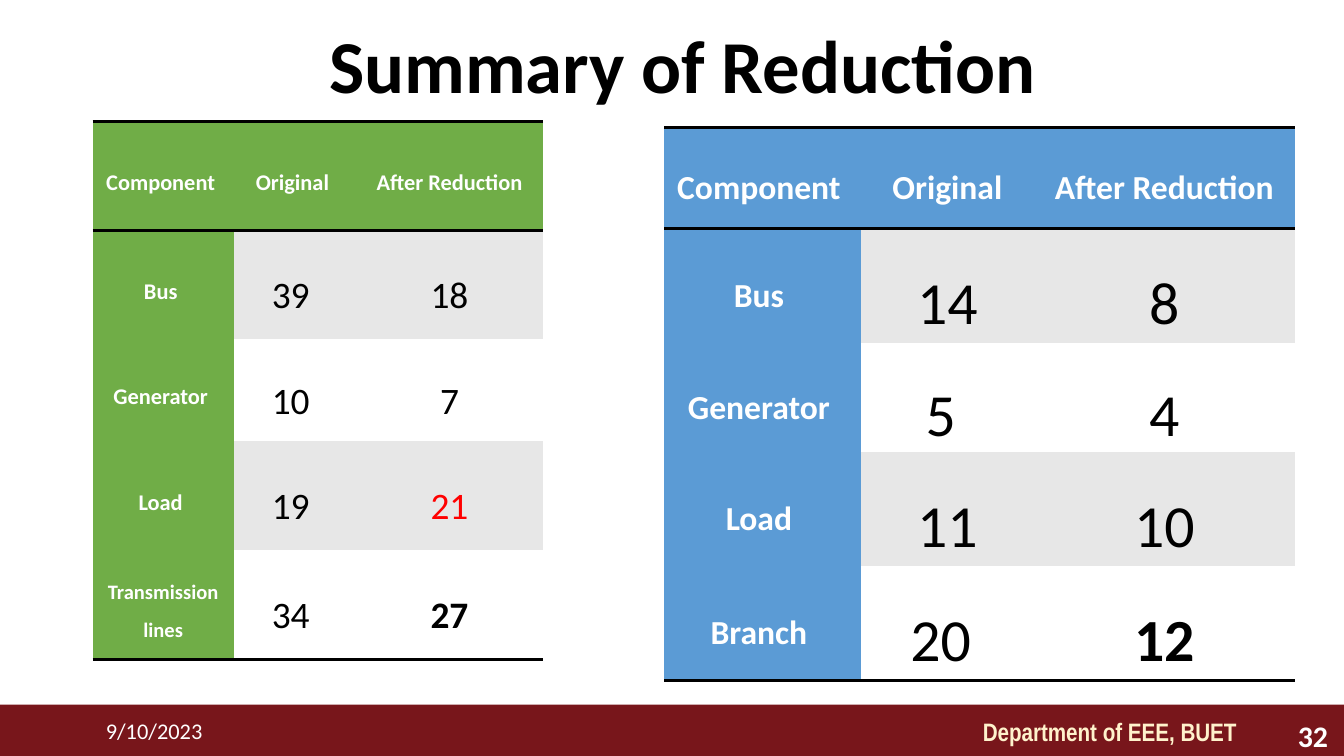
from lxml import etree
from pptx import Presentation
from pptx import util as u
from pptx.dml.color import RGBColor
from pptx.enum import shapes, text
from pptx.oxml import ns

COLOURS = {
    "black": "000000", "white": "FFFFFF", "maroon": "78161B", "cream": "FFF2CC",
    "blue": "5B9BD5", "green": "70AD47", "grey": "E7E7E7", "red": "FF0000",
}
PLAIN_TABLE = "{2D5ABB26-0587-4C30-8999-92F81FD0307C}"


class SummarySlide:
    """Style and drawing methods for the slide being built."""

    font = "Calibri"
    rule_width = u.Pt(2)

    def __init__(self, slide):
        self.slide = slide

    def colour(self, name):
        return RGBColor.from_string(COLOURS[name])

    def box(self, *place):
        return [u.Cm(length) for length in place]

    def style(self, paragraph, size, colour, bold=False, font=None):
        for run in paragraph.runs:
            run.font.size = u.Pt(size)
            run.font.name = font or self.font
            run.font.bold = bold
            run.font.color.rgb = self.colour(colour)

    def band(self, place, colour):
        footer = self.slide.shapes.add_shape(
            shapes.MSO_SHAPE.RECTANGLE, *self.box(*place))
        footer.shadow.inherit = False
        footer.fill.solid()
        footer.fill.fore_color.rgb = self.colour(colour)
        footer.line.fill.background()

    def label(self, words, place, size, colour, align="LEFT", anchor="TOP",
              spacing=1.0, bold=False, font=None):
        frame = self.slide.shapes.add_textbox(*self.box(*place)).text_frame
        frame.word_wrap = True
        frame.vertical_anchor = text.MSO_ANCHOR[anchor]
        frame.text = words
        paragraph = frame.paragraphs[0]
        paragraph.alignment = text.PP_ALIGN[align]
        paragraph.line_spacing = spacing
        self.style(paragraph, size, colour, bold, font)

    def rule(self, cell, side):
        line = etree.SubElement(cell._tc.get_or_add_tcPr(), ns.qn(f"a:ln{side}"),
                                w=str(self.rule_width))
        fill = etree.SubElement(line, ns.qn("a:solidFill"))
        etree.SubElement(fill, ns.qn("a:srgbClr"), val=COLOURS["black"])

    def table(self, rows, corner, widths, heights, accent, head_size, value_size,
              space_after=0, special=None):
        special = special or {}
        place = self.box(*corner, sum(widths), sum(heights))
        grid = self.slide.shapes.add_table(len(rows), len(widths), *place).table
        grid._tbl.tblPr.find(ns.qn("a:tableStyleId")).text = PLAIN_TABLE
        for column, width in zip(grid.columns, widths):
            column.width = u.Cm(width)
        for r, (row, height) in enumerate(zip(rows, heights)):
            grid.rows[r].height = u.Cm(height)
            for c, words in enumerate(row):
                cell = grid.cell(r, c)
                if r == 0:
                    self.rule(cell, "T")
                if r in (0, len(rows) - 1):
                    self.rule(cell, "B")
                heading = r == 0 or c == 0
                cell.fill.solid()
                cell.fill.fore_color.rgb = self.colour(
                    accent if heading else "grey" if r % 2 else "white")
                cell.margin_left = cell.margin_right = u.Cm(0.19)
                cell.margin_top = cell.margin_bottom = 0
                cell.vertical_anchor = text.MSO_ANCHOR.MIDDLE
                cell.text_frame.text = words
                paragraph = cell.text_frame.paragraphs[0]
                paragraph.alignment = text.PP_ALIGN.CENTER
                paragraph.line_spacing = 1.5
                paragraph.space_after = u.Pt(space_after)
                look = {"size": head_size if heading else value_size,
                        "colour": "white" if heading else "black",
                        "bold": heading}
                look.update(special.get((r, c), {}))
                self.style(paragraph, **look)


def main():
    deck = Presentation()
    deck.slide_width, deck.slide_height = u.Cm(25.4), u.Cm(14.29)
    page = SummarySlide(deck.slides.add_slide(deck.slide_layouts[6]))

    page.band((0, 13.32, 25.4, 0.97), "maroon")
    page.label("Department of EEE, BUET", (16.23, 13.41, 7.39, 0.84), 13.5, "cream",
               align="RIGHT", bold=True, font="Arial Narrow")
    page.label("Summary of Reduction", (5.97, 0.33, 13.97, 1.96), 40, "black",
               anchor="MIDDLE", spacing=0.9, bold=True)
    page.label("9/10/2023", (1.75, 13.44, 5.72, 0.76), 12, "white")
    page.label("32", (23.95, 13.44, 1.4, 0.76), 16, "white", align="RIGHT", bold=True)

    page.table(
        [("Component ", "Original", "After Reduction"),
         ("Bus ", "14", "8"),
         ("Generator ", "5 ", "4"),
         ("Load ", "11", "10"),
         ("Branch ", "20 ", "12")],
        (12.55, 2.41), (3.73, 3.25, 4.95), (1.91, 2.16, 2.06, 2.16, 2.16),
        "blue", 18, 32, special={(4, 2): {"bold": True}})
    page.table(
        [("Component ", "Original ", "After Reduction"),
         ("Bus ", "39 ", "18"),
         ("Generator ", "10 ", "7"),
         ("Load ", "19 ", "21"),
         ("Transmission lines", "34 ", "27")],
        (1.75, 2.29), (2.67, 2.31, 3.53), (2.06, 2.06, 1.93, 2.06, 2.06),
        "green", 12, 20, space_after=8,
        special={(3, 2): {"colour": "red"}, (4, 0): {"size": 11},
                 (4, 2): {"bold": True}})

    deck.save("out.pptx")


if __name__ == "__main__":
    main()
